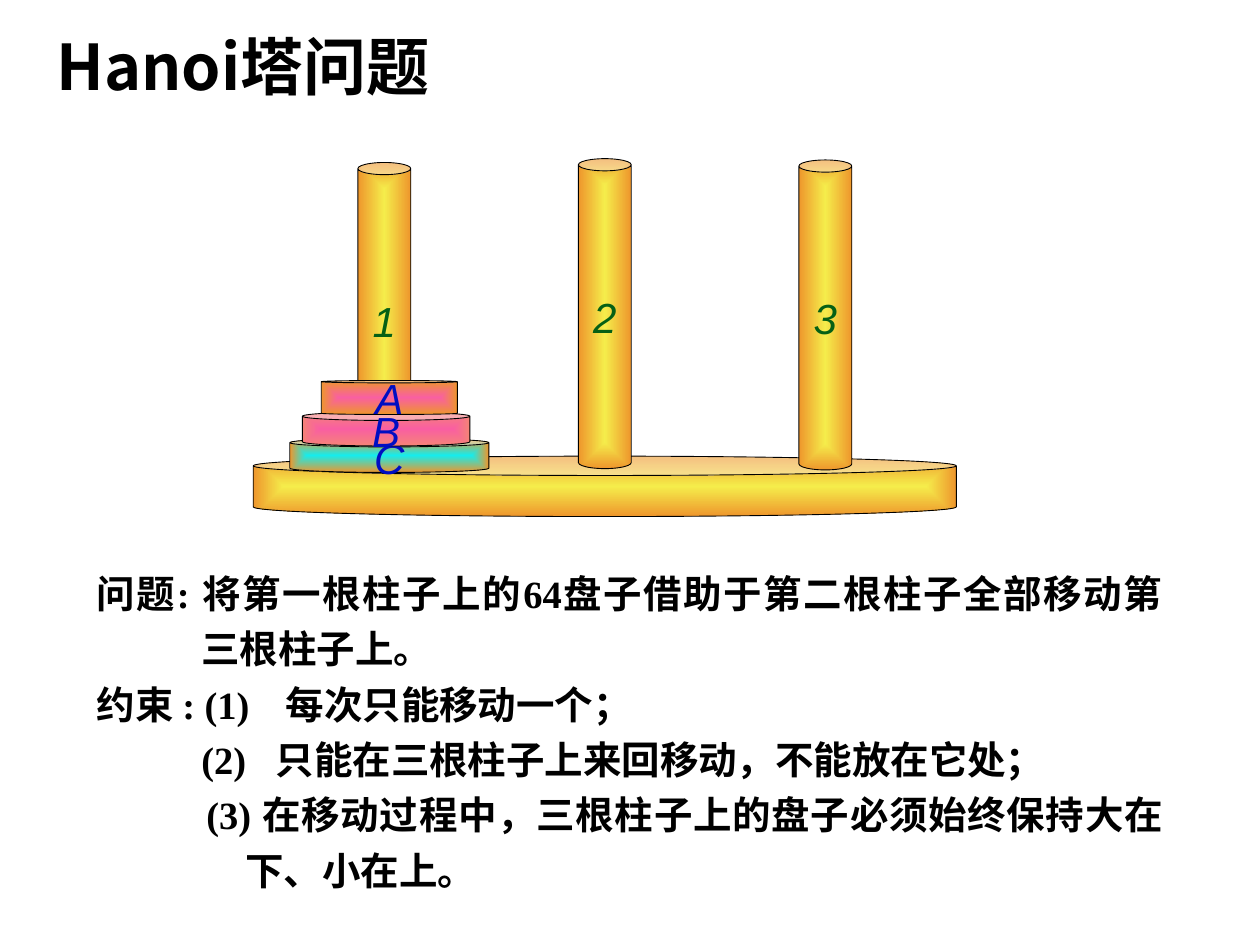
from lxml import etree
from pptx import Presentation
from pptx.dml.color import RGBColor
from pptx.enum.shapes import MSO_SHAPE
from pptx.enum.text import MSO_ANCHOR, PP_ALIGN
from pptx.oxml.ns import qn
from pptx.util import Inches, Pt

CAN = MSO_SHAPE.CAN
MIDDLE = MSO_ANCHOR.MIDDLE
CENTER = PP_ALIGN.CENTER
JUSTIFY = PP_ALIGN.JUSTIFY

BLACK = RGBColor(0x00, 0x00, 0x00)
GREEN = RGBColor(0x06, 0x60, 0x15)
BLUE = RGBColor(0x00, 0x0E, 0xC2)
YELLOW = RGBColor(0xF5, 0xED, 0x4B)
ORANGE = RGBColor(0xEE, 0x96, 0x2C)
CYAN = RGBColor(0x16, 0xEC, 0xEC)
PINK = RGBColor(0xF9, 0x5F, 0xA1)
CORAL = RGBColor(0xF5, 0x83, 0x77)
CJK = "Noto Sans CJK SC"


def add_lines(left, top, width, height, size, face, lines):
    """Add a text box; each line is (text, left margin, first-line indent)."""
    box = slide.shapes.add_textbox(
        Inches(left), Inches(top), Inches(width), Inches(height))
    frame = box.text_frame
    frame.word_wrap = True
    for i, (text, margin, indent) in enumerate(lines):
        para = frame.paragraphs[0] if i == 0 else frame.add_paragraph()
        para.text = text
        para.alignment = JUSTIFY
        para.line_spacing = 1.2
        props = para._p.get_or_add_pPr()
        props.set("marL", str(Inches(margin)))
        props.set("indent", str(Inches(indent)))
        font = para.font
        font.size = Pt(size)
        font.bold = True
        font.color.rgb = BLACK
        font.name = face
        etree.SubElement(font._element, qn("a:ea")).set("typeface", CJK)


def add_can(left, top, width, height, bend, inner, outer, label, ink):
    can = group.shapes.add_shape(
        CAN, Inches(left), Inches(top), Inches(width), Inches(height))
    can.shadow.inherit = False
    can.adjustments[0] = bend
    can.line.color.rgb = BLACK
    can.line.width = Pt(0.5)

    can.fill.gradient()
    for stop, color in zip(can.fill.gradient_stops, (inner, outer)):
        stop.color.rgb = color
    grad = can.element.spPr.find(qn("a:gradFill"))
    grad.remove(grad.find(qn("a:lin")))
    shade = etree.SubElement(grad, qn("a:path"), path="rect")
    etree.SubElement(shade, qn("a:fillToRect"),
                     l="50000", t="50000", r="50000", b="50000")

    if label:
        frame = can.text_frame
        frame.word_wrap = False
        frame.vertical_anchor = MIDDLE
        para = frame.paragraphs[0]
        para.text = label
        para.alignment = CENTER
        para.font.size = Pt(24)
        para.font.italic = True
        para.font.color.rgb = ink
        para.font.name = "Arial"


deck = Presentation()
deck.slide_width = Inches(10)
deck.slide_height = Inches(7.5)
slide = deck.slides.add_slide(deck.slide_layouts[6])

add_lines(0.35, 0.05, 8.82, 0.73, 36, CJK, [("Hanoi塔问题", 0, 0)])

# Hanging indents line up the wrapped lines and the text after each tab
add_lines(0.67, 4.4, 8.67, 2.74, 22, "Times New Roman", [
    ("问题: 将第一根柱子上的64盘子借助于第二根柱子全部移动第\v三根柱子上。", 0.83, -0.83),
    ("约束 : (1)\t每次只能移动一个；", 1.5, -1.5),
    ("(2)\t只能在三根柱子上来回移动，不能放在它处；", 1.42, -0.59),
    ("(3) 在移动过程中，三根柱子上的盘子必须始终保持大在\v下、小在上。", 1.18, -0.31),
])

group = slide.shapes.add_group_shape()

# Base, then the three pegs
add_can(2.01, 3.62, 5.58, 0.48, 0.32, YELLOW, ORANGE, "", BLACK)
for i, top in enumerate((1.29, 1.26, 1.27)):
    add_can(2.84 + 1.75 * i, top, 0.42, 2.46, 0.23,
            YELLOW, ORANGE, str(i + 1), GREEN)

# Disks, from the bottom up
disks = [
    ("C", 2.3, 3.48, 1.58, 0.25, CYAN, ORANGE),
    ("B", 2.4, 3.27, 1.33, 0.25, PINK, CORAL),
    ("A", 2.55, 3.02, 1.08, 0.07, PINK, ORANGE),
]
for name, left, top, width, bend, inner, outer in disks:
    add_can(left, top, width, 0.27, bend, inner, outer, name, BLUE)

deck.save("out.pptx")
